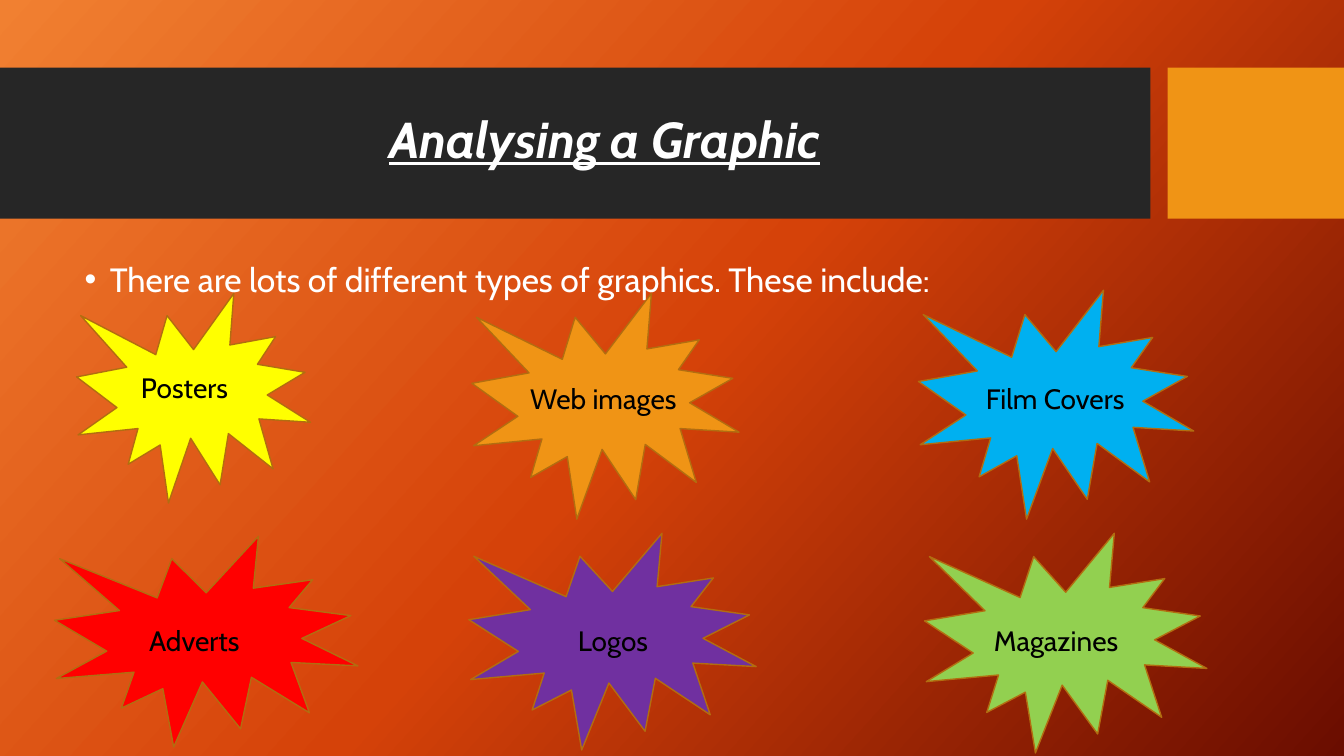
"""Build the "Analysing a Graphic" slide."""
from copy import deepcopy
from dataclasses import dataclass

from lxml.etree import SubElement
from pptx import Presentation
from pptx.dml.color import RGBColor
from pptx.enum.shapes import MSO_SHAPE as Preset
from pptx.enum.text import MSO_ANCHOR as Anchor, MSO_AUTO_SIZE as AutoSize, PP_ALIGN as Align
from pptx.oxml.ns import qn
from pptx.util import Inches, Pt


@dataclass(frozen=True)
class Theme:
    """Colours, font and type sizes of the slide."""
    font: str = "Cabin"
    gradient: tuple = ("F18031", "D54209", "6A0D00")
    gradient_angle: int = 360 - 42
    banner: str = "262626"
    accent: str = "F09415"
    outline: str = "B26D10"
    light: str = "FFFFFF"
    dark: str = "000000"
    title_size: int = 36
    body_size: int = 24
    label_size: int = 20


class GraphicSlide:
    """Draws styled elements on one slide."""

    def __init__(self, slide, theme):
        """Keep the slide and its theme."""
        self.slide = slide
        self.theme = theme

    def background(self):
        """Fill the background with evenly spaced gradient colours."""
        fill = self.slide.background.fill
        fill.gradient()
        fill.gradient_angle = self.theme.gradient_angle
        stop_list = self.slide.element.find(".//" + qn("a:gsLst"))
        stop_list.insert(1, deepcopy(stop_list[0]))
        for index, (stop, color) in enumerate(zip(fill.gradient_stops, self.theme.gradient)):
            stop.position = index / 2
            stop.color.rgb = RGBColor.from_string(color)

    def shape(self, preset, box, color, outline=None):
        """Add a filled preset shape, outlined when a colour is given."""
        shape = self.slide.shapes.add_shape(preset, *map(Inches, box))
        shape.shadow.inherit = False
        shape.fill.solid()
        shape.fill.fore_color.rgb = RGBColor.from_string(color)
        if outline:
            shape.line.color.rgb = RGBColor.from_string(outline)
            shape.line.width = Pt(1)
        else:
            shape.line.fill.background()

    def text(self, text, box, size, color, align=Align.LEFT):
        """Add a wrapping one-paragraph text box and return its frame."""
        text_frame = self.slide.shapes.add_textbox(*map(Inches, box)).text_frame
        text_frame.word_wrap = True
        text_frame.text = text
        paragraph = text_frame.paragraphs[0]
        paragraph.alignment = align
        font = paragraph.runs[0].font
        font.name = self.theme.font
        font.size = Pt(size)
        font.color.rgb = RGBColor.from_string(color)
        return text_frame

    def title(self, text, box):
        """Add the centred, emphasised title."""
        text_frame = self.text(text, box, self.theme.title_size, self.theme.light, Align.CENTER)
        text_frame.vertical_anchor = Anchor.MIDDLE
        paragraph = text_frame.paragraphs[0]
        paragraph.line_spacing = 0.9
        font = paragraph.runs[0].font
        font.bold = font.italic = font.underline = True

    def bullet(self, text, box):
        """Add the bulleted introduction."""
        text_frame = self.text(text, box, self.theme.body_size, self.theme.light)
        paragraph = text_frame.paragraphs[0]
        paragraph.line_spacing = 0.9
        paragraph.space_before = Pt(10)
        properties = paragraph.runs[0].font and text_frame.paragraphs[0]._p.get_or_add_pPr()
        properties.set("marL", str(Inches(0.25)))
        properties.set("indent", str(Inches(-0.25)))
        SubElement(properties, qn("a:buFont"), typeface="Arial")
        SubElement(properties, qn("a:buChar"), char="•")

    def label(self, text, box, align):
        """Add the dark caption of a burst."""
        text_frame = self.text(text, box, self.theme.label_size, self.theme.dark, align)
        text_frame.auto_size = AutoSize.SHAPE_TO_FIT_TEXT


BURSTS = [
    ("Posters", "FFFF00", (0.76, 2.91, 2.32, 2.08), (1.3, 3.63, 1.25), Align.LEFT),
    ("Web images", "F09415", (4.68, 2.91, 2.65, 2.24), (5.16, 3.74, 1.69), Align.LEFT),
    ("Film Covers", "00B0F0", (9.11, 2.88, 2.73, 2.27), (9.68, 3.74, 1.77), Align.LEFT),
    ("Adverts", "FF0000", (0.54, 5.32, 3.01, 2.09), (1.38, 6.14, 1.33), Align.LEFT),
    ("Logos", "7030A0", (4.65, 5.29, 2.85, 2.15), (5.36, 6.14, 1.44), Align.CENTER),
    ("Magazines", "92D050", (9.17, 5.29, 2.8, 2.18), (9.76, 6.14, 1.69), Align.LEFT),
]
LABEL_HEIGHT = 0.44


def main():
    """Build and save the presentation."""
    presentation = Presentation()
    presentation.slide_width = Inches(13.33)
    presentation.slide_height = Inches(7.5)
    theme = Theme()
    page = GraphicSlide(presentation.slides.add_slide(presentation.slide_layouts[6]), theme)

    page.background()
    page.shape(Preset.RECTANGLE, (0, 0.67, 11.41, 1.5), theme.banner)
    page.shape(Preset.RECTANGLE, (11.58, 0.67, 1.75, 1.5), theme.accent)
    page.title("Analysing a Graphic", (0.74, 0.82, 10.51, 1.18))
    page.bullet("There are lots of different types of graphics. These include:",
                (0.74, 2.56, 10.51, 3.94))
    for name, color, burst_box, label_box, align in BURSTS:
        page.shape(Preset.EXPLOSION1, burst_box, color, theme.outline)
        page.label(name, (*label_box, LABEL_HEIGHT), align)
    presentation.save("out.pptx")


if __name__ == "__main__":
    main()
